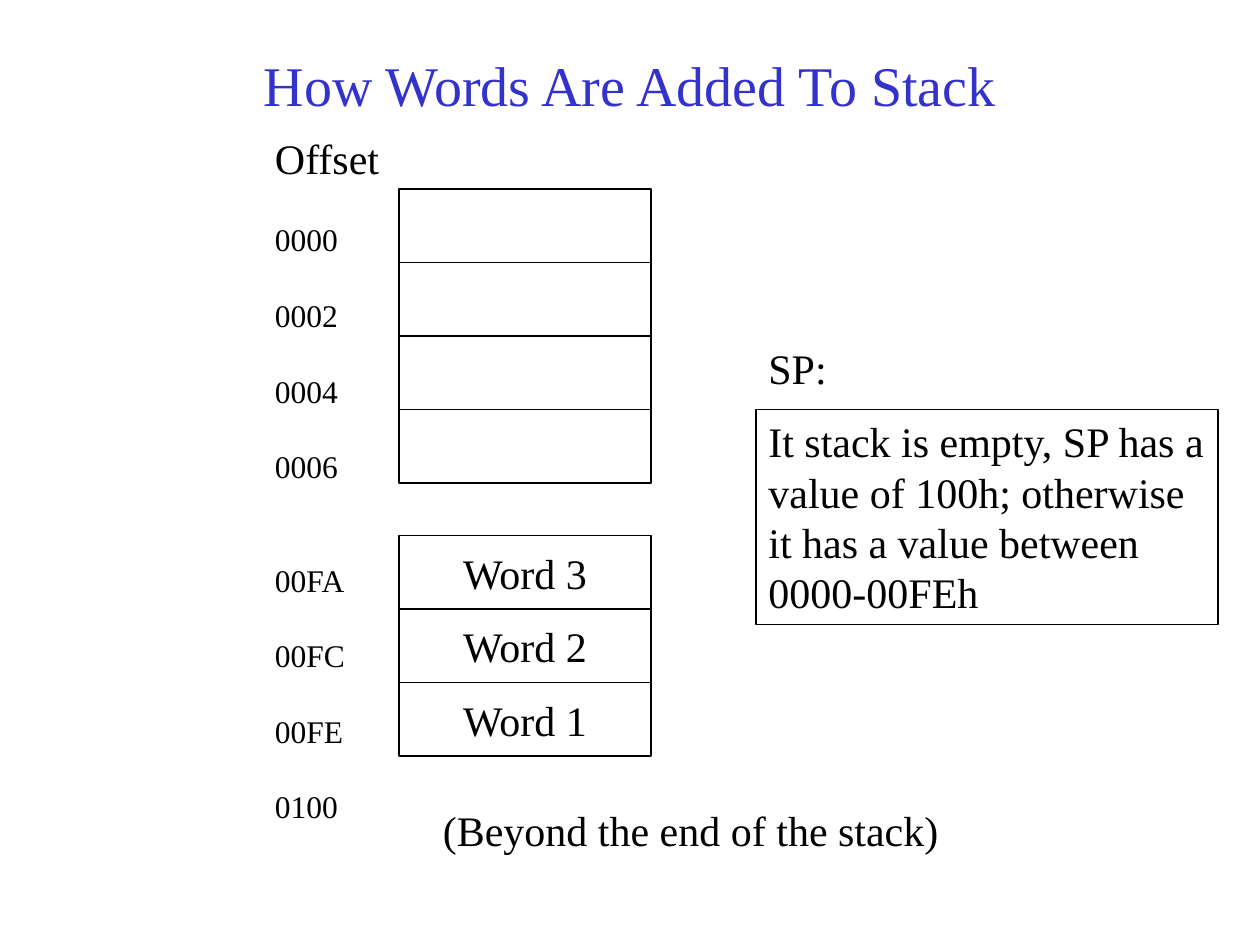
"""Build the slide that shows how words are added to a stack."""

from dataclasses import dataclass, field
from typing import Optional

from pptx import Presentation
from pptx.dml.color import RGBColor
from pptx.enum.shapes import MSO_SHAPE
from pptx.enum.text import MSO_ANCHOR, MSO_AUTO_SIZE, PP_ALIGN
from pptx.slide import Slide
from pptx.util import Pt


@dataclass(frozen=True)
class Theme:
    font: str = "Times New Roman"
    ink: RGBColor = RGBColor(0x00, 0x00, 0x00)
    paper: RGBColor = RGBColor(0xFF, 0xFF, 0xFF)
    accent: RGBColor = RGBColor(0x33, 0x33, 0xCC)
    title: float = 32
    body: float = 24
    label: float = 18
    line: float = 0.75


THEME = Theme()


@dataclass(frozen=True)
class Para:
    text: str
    size: float = THEME.body
    color: RGBColor = THEME.ink
    fmt: dict = field(default_factory=dict)


@dataclass(frozen=True)
class Box:
    left: float
    top: float
    width: float
    height: float
    paras: tuple[Para, ...] = ()
    frame: dict = field(default_factory=dict)
    outlined: bool = False
    fill: Optional[RGBColor] = None


def apply(target: object, values: dict) -> None:
    for name, value in values.items():
        setattr(target, name, value)


def draw_box(s: Slide, box: Box) -> None:
    place = [Pt(v) for v in (box.left, box.top, box.width, box.height)]
    if box.outlined:
        sp = s.shapes.add_shape(MSO_SHAPE.RECTANGLE, *place)
        sp.shadow.inherit = False
        sp.line.color.rgb = THEME.ink
        sp.line.width = Pt(THEME.line)
        if box.fill is None:
            sp.fill.background()
        else:
            sp.fill.solid()
            sp.fill.fore_color.rgb = box.fill
    else:
        sp = s.shapes.add_textbox(*place)
    tf = sp.text_frame
    apply(tf, {"word_wrap": True, "vertical_anchor": MSO_ANCHOR.TOP} | box.frame)
    for i, para in enumerate(box.paras):
        p = tf.add_paragraph() if i else tf.paragraphs[0]
        apply(p, {"alignment": PP_ALIGN.LEFT} | para.fmt)
        r = p.add_run()
        r.text = para.text
        apply(r.font, {"name": THEME.font, "size": Pt(para.size)})
        r.font.color.rgb = para.color


CENTER = {"alignment": PP_ALIGN.CENTER}
MIDDLE = {"vertical_anchor": MSO_ANCHOR.MIDDLE}
GROW = {"auto_size": MSO_AUTO_SIZE.SHAPE_TO_FIT_TEXT}
GROW_WIDE = GROW | {"word_wrap": False}

CELL_LEFT, CELL_WIDTH, CELL_HEIGHT = 228, 144, 42
STACK_PARTS = ((108, ("", "", "", "")), (306, ("Word 3", "Word 2", "Word 1")))
OFFSET_GROUPS = (("0000", "0002", "0004", "0006"), ("00FA", "00FC", "00FE", "0100"))
LABEL_GAP = 21.6


def stack_cell(top: float, word: str) -> Box:
    paras = (Para(word, fmt=CENTER),) if word else ()
    return Box(CELL_LEFT, top, CELL_WIDTH, CELL_HEIGHT, paras,
               MIDDLE | {"word_wrap": False}, True, THEME.paper)


def offset_labels() -> tuple[Para, ...]:
    labels = [Para("Offset")]
    for g, group in enumerate(OFFSET_GROUPS):
        for i, text in enumerate(group):
            gap = LABEL_GAP * (2 if g and not i else 1)
            labels.append(Para(text, THEME.label, fmt={"space_before": Pt(gap)}))
    return tuple(labels)


def main() -> None:
    prs = Presentation()
    prs.slide_width, prs.slide_height = Pt(720), Pt(540)
    s = prs.slides.add_slide(prs.slide_layouts[6])

    title = Para("How Words Are Added To Stack", THEME.title, THEME.accent, CENTER)
    note = Para("It stack is empty, SP has a value of 100h; "
                "otherwise it has a value between 0000-00FEh")
    cells = [stack_cell(top + i * CELL_HEIGHT, word)
             for top, words in STACK_PARTS for i, word in enumerate(words)]
    boxes = [
        Box(54, 36, 612, 24, (title,), MIDDLE),
        *cells,
        Box(150, 72, 74, 454, offset_labels(), GROW),
        Box(432, 234, 264, 123, (note,), GROW, True),
        Box(432, 192, 47.5, 36, (Para("SP:"),), GROW_WIDE),
        Box(246, 456, 297.5, 36, (Para("(Beyond the end of the stack)"),), GROW_WIDE),
    ]
    for box in boxes:
        draw_box(s, box)
    prs.save("out.pptx")


if __name__ == "__main__":
    main()
